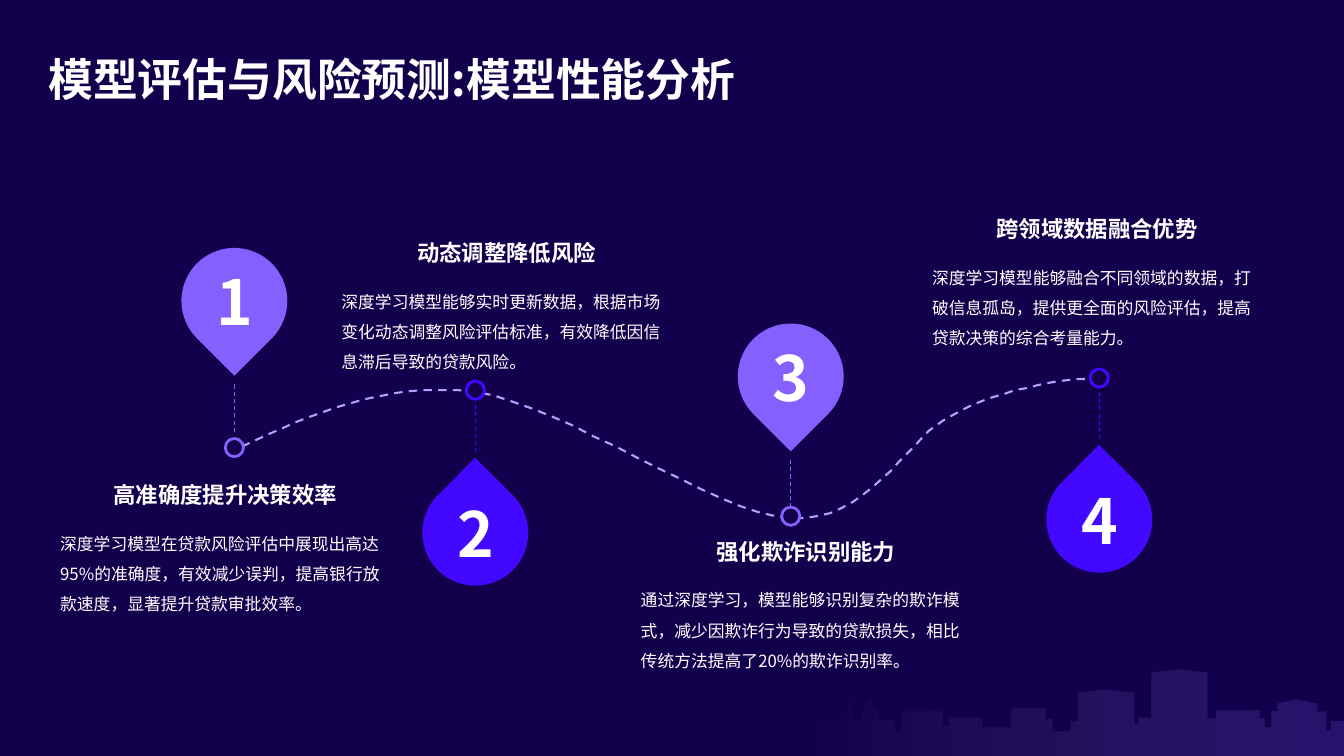
import pptx
import pptx.util
import pptx.dml.color
import pptx.enum.dml
import pptx.enum.shapes
import pptx.enum.text
import pptx.oxml
import pptx.oxml.ns
import lxml.etree

Pt = pptx.util.Pt
RGB = pptx.dml.color.RGBColor
FORM = pptx.enum.shapes.MSO_SHAPE
ALIGN = pptx.enum.text.PP_ALIGN
ANCHOR = pptx.enum.text.MSO_ANCHOR
DASH = pptx.enum.dml.MSO_LINE.DASH
qn = pptx.oxml.ns.qn

NAVY = RGB(0x12, 0x00, 0x4C)
WHITE = RGB(0xFF, 0xFF, 0xFF)
PALE = RGB(0xF9, 0xF7, 0xFF)
LILAC = RGB(0x86, 0x60, 0xFF)
BLUE = RGB(0x43, 0x08, 0xFF)
TRAIL = RGB(0xB6, 0xA0, 0xFF)
FONT = "Noto Sans CJK SC"

DROP = 75.6   # size of a numbered drop
DOT = 13
STEM = 34

# Drop left and top, dot centre height, heading left and top, texts
STEPS = [
    (129.6, 177.1, 319.7, 61.9, 338.4, "高准确度提升决策效率",
     "深度学习模型在贷款风险评估中展现出高达95%的准确度，有效减少误判，提高银行放款速度，显著提升贷款审批效率。"),
    (301.7, 342.7, 278.7, 262.8, 165.6, "动态调整降低风险",
     "深度学习模型能够实时更新数据，根据市场变化动态调整风险评估标准，有效降低因信息滞后导致的贷款风险。"),
    (527, 231.1, 368.7, 476.6, 378.7, "强化欺诈识别能力",
     "通过深度学习，模型能够识别复杂的欺诈模式，减少因欺诈行为导致的贷款损失，相比传统方法提高了20%的欺诈识别率。"),
    (747.4, 333.4, 270, 684.7, 148.3, "跨领域数据融合优势",
     "深度学习模型能够融合不同领域的数据，打破信息孤岛，提供更全面的风险评估，提高贷款决策的综合考量能力。"),
]

# Outlines in hundredths of an inch (0.72 pt)
UNIT = 0.72
CURVE = [
    (240, 443), (310, 410), (381, 378), (471, 389),
    (562, 401), (706, 509), (784, 514), (861, 519), (900, 438), (936, 417),
    (980, 389), (1060, 372), (1093, 377),
]
# Left edge and roof height of each block; it ends where the next begins
ROOFS = [
    (787, 724), (801, 716), (831, 711), (839, 709), (847, 715), (854, 708),
    (872, 714), (888, 725), (894, 706), (935, 720), (941, 712), (974, 721),
    (1003, 703), (1037, 713), (1044, 725), (1062, 715), (1069, 687),
    (1125, 718), (1129, 712), (1142, 667), (1197, 712), (1206, 705),
    (1249, 712), (1254, 721), (1261, 706), (1267, 698), (1306, 706),
    (1315, 724), (1320, 715),
]
# Height of the peak over the roofs that have one, by left edge
PEAKS = {839: 19, 854: 14, 1069: 3, 1142: 3, 1267: 4}
RIGHT, GROUND = 1333, 750


def bend(knots, count=16):
    """Points along a chain of cubic curves."""
    dots = [knots[0]]
    for i in range(0, len(knots) - 1, 3):
        for n in range(1, count + 1):
            t = n / count
            parts = ((1 - t) ** 3, 3 * t * (1 - t) ** 2, 3 * t * t * (1 - t), t ** 3)
            dots.append(tuple(sum(w * k[axis] for w, k in zip(parts, knots[i:i + 4]))
                              for axis in (0, 1)))
    return dots


def add_path(slide, dots, close):
    form = slide.shapes.build_freeform(*dots[0], scale=Pt(UNIT))
    form.add_line_segments(dots[1:], close=close)
    shape = form.convert_to_shape()
    shape.shadow.inherit = False
    return shape


def add_city(slide):
    ends = [left for left, roof in ROOFS[1:]] + [RIGHT]
    dots = [(ROOFS[0][0], GROUND)]
    for (left, roof), end in zip(ROOFS, ends):
        dots.append((left, roof))
        if left in PEAKS:
            dots.append(((left + end) / 2, roof - PEAKS[left]))
        dots.append((end, roof))
    dots.append((RIGHT, GROUND))
    city = add_path(slide, dots, True)
    city.line.fill.background()
    city.fill.gradient()
    city.fill.gradient_angle = 0
    for stop, place, tint in zip(city.fill.gradient_stops, (0, 1), (PALE, LILAC)):
        stop.position = place
        stop.color.rgb = tint
    for node, alpha in zip(city._element.iter(qn("a:srgbClr")), (0, 20000)):
        lxml.etree.SubElement(node, qn("a:alpha")).set("val", str(alpha))


def add_trail(slide):
    trail = add_path(slide, bend(CURVE), False)
    trail.fill.background()
    trail.line.color.rgb = TRAIL
    trail.line.width = Pt(1.5)
    trail.line.dash_style = DASH


def add_form(slide, kind, x, y, size, fill):
    shape = slide.shapes.add_shape(kind, Pt(x), Pt(y), Pt(size), Pt(size))
    shape.shadow.inherit = False
    shape.fill.solid()
    shape.fill.fore_color.rgb = fill
    shape.line.fill.background()
    return shape


def add_stem(slide, x, y, tint):
    stem = slide.shapes.add_connector(pptx.enum.shapes.MSO_CONNECTOR.STRAIGHT,
                                      Pt(x), Pt(y), Pt(x), Pt(y + STEM))
    stem.line.color.rgb = tint
    stem.line.width = Pt(0.75)
    stem.line.dash_style = DASH
    lxml.etree.SubElement(stem._element.spPr, qn("a:effectLst"))


def add_text(slide, text, x, y, wide, high, size, bold=True,
             align=ALIGN.CENTER, anchor=ANCHOR.MIDDLE, space=1.0):
    frame = slide.shapes.add_textbox(Pt(x), Pt(y), Pt(wide), Pt(high)).text_frame
    frame.word_wrap = True
    frame.vertical_anchor = anchor
    frame.text = text
    para = frame.paragraphs[0]
    para.alignment = align
    para.line_spacing = space
    for run in para.runs:
        run.font.size = Pt(size)
        run.font.bold = bold
        run.font.name = FONT
        run.font.color.rgb = WHITE
        east = lxml.etree.SubElement(run.font._element, qn("a:ea"))
        east.set("typeface", FONT)


def add_step(slide, num, x, y, level, left, top, head, body):
    down = num % 2 == 1  # odd drops point down to the trail
    tint = LILAC if down else BLUE
    mid = x + DROP / 2
    # Drop, stem and dot
    drop = add_form(slide, FORM.TEAR, x, y, DROP, tint)
    drop.rotation = 135 if down else 314.8
    add_stem(slide, mid, y + 97.5 if down else y - 53.5, tint)
    dot = add_form(slide, FORM.OVAL, mid - DOT / 2, level - DOT / 2, DOT, NAVY)
    dot.line.color.rgb = tint
    dot.line.width = Pt(2)
    # Number, heading and body
    add_text(slide, str(num), x + 9.4, y + 9.4, 56.9, 56.9, 44.4)
    add_text(slide, head, left, top, 198, 28.1, 16, space=1.1)
    add_text(slide, body, left - 26, top + 32, 250.6, 79.2, 12, bold=False,
             align=ALIGN.LEFT, anchor=ANCHOR.TOP, space=1.5)


def main():
    deck = pptx.Presentation()
    deck.slide_width, deck.slide_height = Pt(960), Pt(540)
    slide = deck.slides.add_slide(deck.slide_layouts[6])
    slide.background.fill.solid()
    slide.background.fill.fore_color.rgb = NAVY
    add_city(slide)
    add_trail(slide)
    for num, step in enumerate(STEPS, 1):
        add_step(slide, num, *step)
    # Title
    add_text(slide, "模型评估与风险预测:模型性能分析", 27.4, 23.8, 905, 56.9, 32,
             align=ALIGN.LEFT, space=1.2)
    deck.save("out.pptx")


if __name__ == "__main__":
    main()
